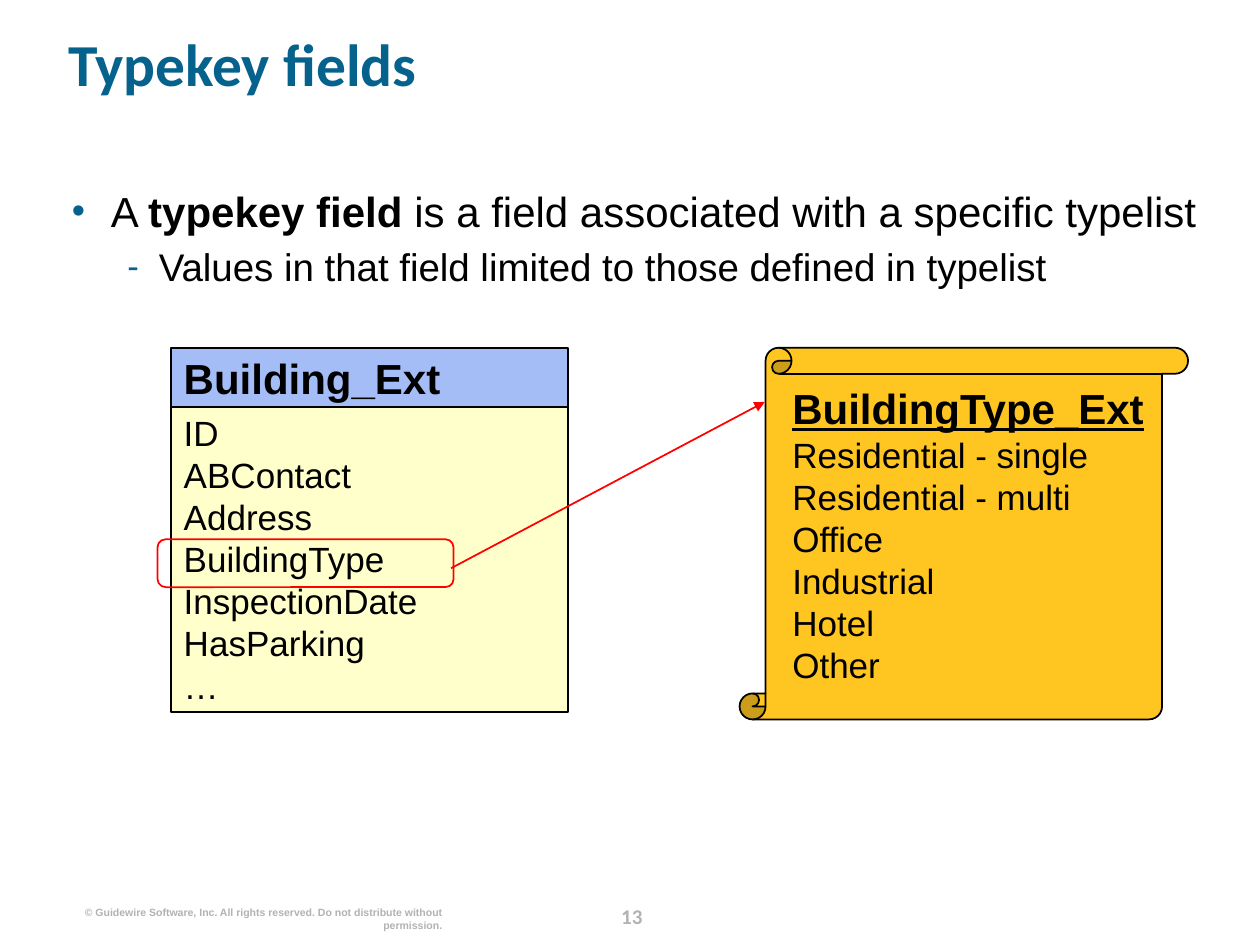
"""Build the typekey fields slide: an entity whose field points to a typelist."""
from dataclasses import dataclass
from typing import Optional

from lxml.etree import SubElement
from pptx import Presentation
from pptx.dml.color import RGBColor
from pptx.enum.shapes import MSO_CONNECTOR as Connector, MSO_SHAPE as Shape
from pptx.enum.text import MSO_ANCHOR as Anchor, MSO_AUTO_SIZE as AutoSize, PP_ALIGN as Align
from pptx.oxml.ns import qn
from pptx.util import Inches, Pt


@dataclass(frozen=True)
class Theme:
    text: str = "000000"
    accent: str = "04628C"
    muted: str = "B2B2B2"
    scroll: str = "FFC521"
    header: str = "A4BDF6"
    entity: str = "FFFFCC"
    highlight: str = "FF0000"
    body_font: str = "Arial"
    title_font: str = "Calibri"
    title_size: int = 34
    heading_size: int = 24
    sub_size: int = 22
    field_size: int = 20
    number_size: int = 12
    notice_size: int = 6
    line_width: int = 1


@dataclass(frozen=True)
class Area:
    left: float
    top: float
    width: float
    height: float

    def lengths(self) -> list:
        return [Inches(value) for value in (self.left, self.top, self.width, self.height)]


@dataclass(frozen=True)
class Panel:
    kind: Shape
    area: Area
    fill: Optional[str] = None
    line: str = "000000"
    adjustment: Optional[float] = None


@dataclass(frozen=True)
class Bullet:
    spans: tuple
    symbol: str
    size: int
    margin: float
    indent: float
    before: float
    level: int = 0


THEME = Theme()
ENTITY_LEFT, ENTITY_WIDTH = 1.36, 3.15
SCROLL = Panel(Shape.VERTICAL_SCROLL, Area(5.87, 2.76, 3.56, 2.95), THEME.scroll, adjustment=0.07)
ENTITY = Panel(Shape.RECTANGLE, Area(ENTITY_LEFT, 3.22, ENTITY_WIDTH, 2.43), THEME.entity)
HEADER = Panel(Shape.RECTANGLE, Area(ENTITY_LEFT, 2.76, ENTITY_WIDTH, 0.47), THEME.header)
HIGHLIGHT = Panel(Shape.ROUNDED_RECTANGLE, Area(1.25, 4.28, 2.35, 0.38),
                  line=THEME.highlight, adjustment=0.17)
FIELDS = ("ID", "ABContact", "Address", "BuildingType", "InspectionDate", "HasParking", "…")
TYPECODES = ("Residential - single", "Residential - multi", "Office", "Industrial", "Hotel", "Other")
BULLETS = (
    Bullet((("A ", False), ("typekey field", True),
            (" is a field associated with a specific typelist", False)),
           "•", THEME.heading_size, 0.31, -0.31, 0),
    Bullet((("Values in that field limited to those defined in typelist", False),),
           "-", THEME.sub_size, 0.69, -0.25, 4.4, 1),
)


def style(font, size: int, color: str = THEME.text, bold: bool = False,
          name: str = THEME.body_font) -> None:
    font.name, font.size, font.bold = name, Pt(size), bold
    font.color.rgb = RGBColor.from_string(color)


def prepare_frame(frame, anchor: Anchor = Anchor.TOP, wrap: bool = True, inset: bool = False) -> None:
    frame.word_wrap = wrap
    frame.auto_size = AutoSize.NONE
    frame.vertical_anchor = anchor
    if not inset:
        frame.margin_left = frame.margin_right = frame.margin_top = frame.margin_bottom = 0


def place(box, area: Area) -> None:
    box.left, box.top, box.width, box.height = area.lengths()


def write_lines(frame, lines: tuple, size: int, bold: bool = False) -> None:
    frame.text = "\n".join(lines)
    for para in frame.paragraphs:
        para.alignment = Align.LEFT
        for span in para.runs:
            style(span.font, size, bold=bold)


def add_panel(page, panel: Panel):
    box = page.shapes.add_shape(panel.kind, *panel.area.lengths())
    box.shadow.inherit = False
    if panel.adjustment is not None:
        box.adjustments[0] = panel.adjustment
    if panel.fill:
        box.fill.solid()
        box.fill.fore_color.rgb = RGBColor.from_string(panel.fill)
    else:
        box.fill.background()
    box.line.color.rgb = RGBColor.from_string(panel.line)
    box.line.width = Pt(THEME.line_width)
    return box


def add_arrow(page, start: tuple, end: tuple) -> None:
    arrow = page.shapes.add_connector(Connector.STRAIGHT, *map(Inches, start + end))
    arrow.line.color.rgb = RGBColor.from_string(THEME.highlight)
    arrow.line.width = Pt(THEME.line_width)
    SubElement(arrow.line._get_or_add_ln(), qn("a:tailEnd"), type="triangle")
    SubElement(arrow._element.spPr, qn("a:effectLst"))


def write_bullet(para, bullet: Bullet) -> None:
    para.level = bullet.level
    properties = para._p.get_or_add_pPr()
    properties.set("marL", str(Inches(bullet.margin)))
    properties.set("indent", str(Inches(bullet.indent)))
    color = SubElement(properties, qn("a:buClr"))
    SubElement(color, qn("a:srgbClr"), val=THEME.accent)
    SubElement(properties, qn("a:buSzPct"), val="90000")
    SubElement(properties, qn("a:buFont"), typeface=THEME.body_font)
    SubElement(properties, qn("a:buChar"), char=bullet.symbol)
    para.space_before = Pt(bullet.before)
    for text, bold in bullet.spans:
        span = para.add_run()
        span.text = text
        style(span.font, bullet.size, bold=bold)


def add_footer(page, area: Area, text: str, size: int, font: str, alignment: Align) -> None:
    box = page.shapes.add_textbox(*area.lengths())
    prepare_frame(box.text_frame)
    box.text_frame.text = text
    para = box.text_frame.paragraphs[0]
    para.alignment = alignment
    style(para.runs[0].font, size, THEME.muted, True, font)


def add_title(page) -> None:
    title = page.shapes.title
    place(title, Area(0.54, 0.13, 9.1, 0.81))
    prepare_frame(title.text_frame, Anchor.MIDDLE)
    title.text_frame.text = "Typekey fields"
    para = title.text_frame.paragraphs[0]
    para.alignment, para.line_spacing = Align.LEFT, 0.9
    style(para.runs[0].font, THEME.title_size, THEME.accent, True, THEME.title_font)


def add_body(page) -> None:
    body = page.placeholders[1]
    place(body, Area(0.57, 1.47, 9.1, 5.52))
    frame = body.text_frame
    prepare_frame(frame)
    for index, bullet in enumerate(BULLETS):
        write_bullet(frame.add_paragraph() if index else frame.paragraphs[0], bullet)


def add_typelist(page) -> None:
    add_panel(page, SCROLL)
    box = page.shapes.add_textbox(*Area(6.19, 2.99, 2.9, 2.58).lengths())
    prepare_frame(box.text_frame, wrap=False, inset=True)
    write_lines(box.text_frame, ("BuildingType_Ext",) + TYPECODES, THEME.field_size)
    heading = box.text_frame.paragraphs[0].runs[0].font
    style(heading, THEME.heading_size, bold=True)
    heading.underline = True


def add_entity(page) -> None:
    entity = add_panel(page, ENTITY).text_frame
    prepare_frame(entity, wrap=False, inset=True)
    write_lines(entity, FIELDS, THEME.field_size)
    header = add_panel(page, HEADER).text_frame
    prepare_frame(header, Anchor.MIDDLE, wrap=False, inset=True)
    write_lines(header, ("Building_Ext",), THEME.heading_size, bold=True)


def main() -> None:
    deck = Presentation()
    deck.slide_width, deck.slide_height = Inches(10), Inches(7.5)
    page = deck.slides.add_slide(deck.slide_layouts[1])
    add_footer(page, Area(4.73, 7.17, 0.57, 0.25), "13", THEME.number_size,
               THEME.title_font, Align.CENTER)
    add_footer(page, Area(0.61, 7.19, 2.9, 0.2),
               "© Guidewire Software, Inc. All rights reserved. Do not distribute without permission.",
               THEME.notice_size, THEME.body_font, Align.RIGHT)
    add_title(page)
    add_body(page)
    add_typelist(page)
    add_entity(page)
    add_panel(page, HIGHLIGHT)
    add_arrow(page, (3.58, 4.51), (6.07, 3.19))
    deck.save("out.pptx")


if __name__ == "__main__":
    main()
